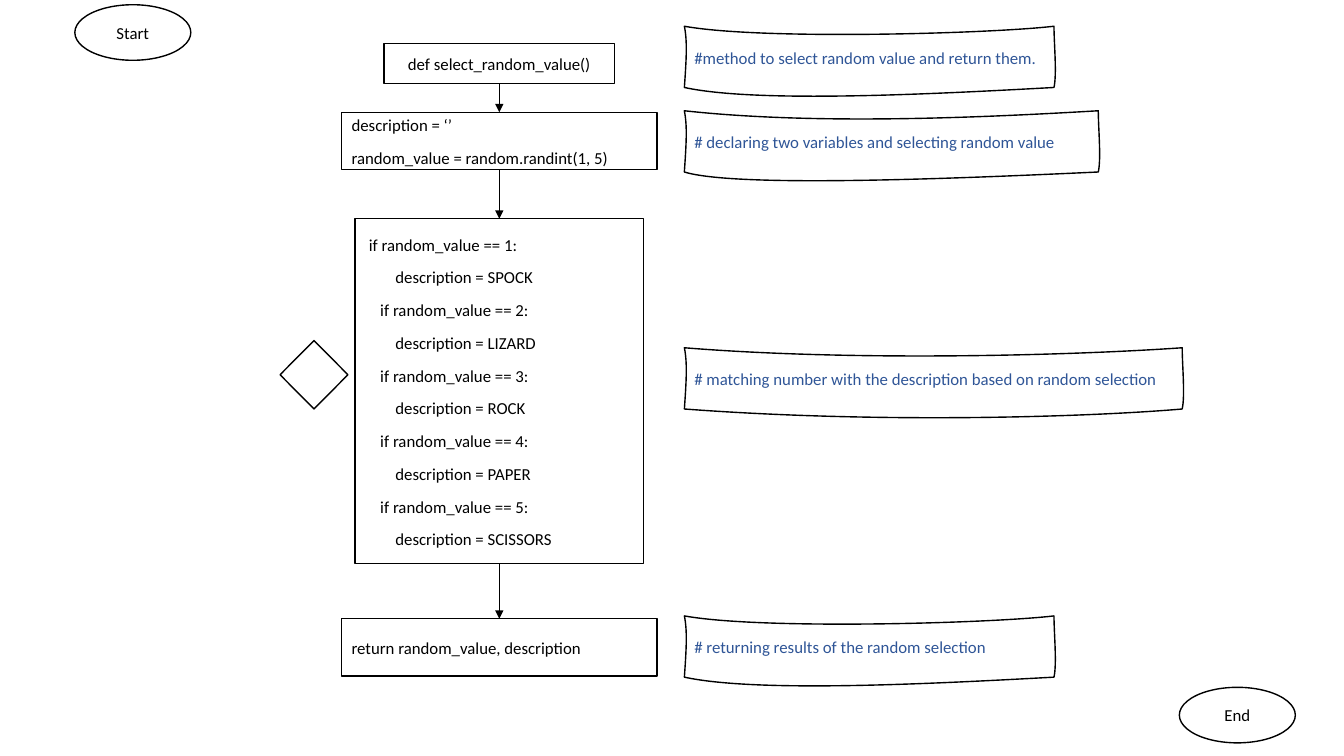
from dataclasses import dataclass

from lxml import etree
from pptx import Presentation
from pptx import util as u
from pptx.dml.color import RGBColor
from pptx.enum import shapes, text
from pptx.oxml.ns import qn

BLACK = RGBColor(0x00, 0x00, 0x00)
WHITE = RGBColor(0xFF, 0xFF, 0xFF)
BLUE = RGBColor(0x2F, 0x55, 0x97)

WIDTH, HEIGHT = u.Inches(13.33), u.Inches(7.5)
SPINE = 37.15  # centre of the flow, percent of the width
NOTE_LEFT = 50.92
NOTE_HEIGHT = 8.1
INDENT_UNIT = 2.71  # points, one character step of code


@dataclass(frozen=True)
class Line:
    words: str
    indent: int = 0


@dataclass(frozen=True)
class Step:
    """A code box on the spine; lengths are percent of the slide."""
    width: float
    top: float
    height: float
    lines: list[Line]
    centred: bool = False


@dataclass(frozen=True)
class Note:
    """A wavy comment; bends are control points as shares of its width."""
    top: float
    width: float
    top_bends: tuple[float, float]
    bottom_bends: tuple[float, float]
    words: str


@dataclass(frozen=True)
class Marker:
    kind: shapes.MSO_SHAPE
    left: float
    top: float
    width: float
    height: float
    words: str = ""


CHOICES = ["SPOCK", "LIZARD", "ROCK", "PAPER", "SCISSORS"]
BRANCHES = [
    line
    for number, choice in enumerate(CHOICES, 1)
    for line in (Line(f"if random_value == {number}:", 1 if number == 1 else 4),
                 Line(f"description = {choice}", 8))
]

STEPS = [
    Step(17.18, 5.73, 5.3, [Line("def select_random_value()")], centred=True),
    Step(23.46, 14.85, 7.58, [Line("description = ‘’"),
                              Line("random_value = random.randint(1, 5)")]),
    Step(21.45, 28.93, 45.6, BRANCHES),
    Step(23.46, 81.85, 7.58, [Line("return random_value, description")]),
]

NOTES = [
    Note(3.47, 27.5, (0.21, 0.83), (0.64, 0.19),
         "#method to select random value and return them."),
    Note(14.65, 30.8, (0.31, 0.7), (0.62, 0.12),
         "# declaring two variables and selecting random value"),
    Note(46, 37.04, (0.35, 0.79), (0.83, 0.41),
         "# matching number with the description based on random selection"),
    Note(81.47, 27.5, (0.21, 0.83), (0.64, 0.19),
         "# returning results of the random selection"),
]

MARKERS = [
    Marker(shapes.MSO_SHAPE.DIAMOND, 20.84, 45.05, 5.05, 9.05),
    Marker(shapes.MSO_SHAPE.OVAL, 5.57, 0.63, 8.63, 7.35, "Start"),
    Marker(shapes.MSO_SHAPE.OVAL, 87.75, 90.92, 8.63, 7.35, "End"),
]


def across(percent: float) -> int:
    return round(WIDTH * percent / 100)


def down(percent: float) -> int:
    return round(HEIGHT * percent / 100)


def outline(shape, fill: RGBColor | None = None) -> None:
    shape.shadow.inherit = False
    shape.line.color.rgb = BLACK
    shape.line.width = u.Pt(1)
    if fill is None:
        shape.fill.background()
    else:
        shape.fill.solid()
        shape.fill.fore_color.rgb = fill


def write(shape, lines: list[Line], color: RGBColor, centred: bool) -> None:
    frame = shape.text_frame
    frame.word_wrap = True
    frame.vertical_anchor = text.MSO_ANCHOR.MIDDLE
    frame.text = "\n".join(line.words for line in lines)
    for line, paragraph in zip(lines, frame.paragraphs):
        paragraph.font.name = "Calibri"
        paragraph.font.size = u.Pt(12)
        paragraph.font.color.rgb = color
        if centred:
            paragraph.alignment = text.PP_ALIGN.CENTER
            continue
        paragraph.alignment = text.PP_ALIGN.LEFT
        paragraph.line_spacing = 1.07
        paragraph.space_after = u.Pt(8)
        if line.indent:
            margin = u.Pt(line.indent * INDENT_UNIT)
            paragraph._p.get_or_add_pPr().set("marL", str(int(margin)))


def draw_step(slide, step: Step):
    box = slide.shapes.add_shape(
        shapes.MSO_SHAPE.RECTANGLE, across(SPINE - step.width / 2),
        down(step.top), across(step.width), down(step.height))
    outline(box)
    write(box, step.lines, BLACK, step.centred)
    return box


def draw_arrow(slide, upper, lower) -> None:
    arrow = slide.shapes.add_connector(shapes.MSO_CONNECTOR.STRAIGHT, 0, 0, 0, 0)
    arrow.begin_connect(upper, 2)
    arrow.end_connect(lower, 0)
    arrow.line.color.rgb = BLACK
    arrow.line.width = u.Pt(0.5)
    etree.SubElement(arrow.line._get_or_add_ln(), qn("a:tailEnd"), type="triangle")
    etree.SubElement(arrow._element.spPr, qn("a:effectLst"))


def draw_note(slide, note: Note) -> None:
    left, top = across(NOTE_LEFT), down(note.top)
    width, height = across(note.width), down(NOTE_HEIGHT)
    right, bottom = left + width, top + height
    builder = slide.shapes.build_freeform(left, top)
    builder.add_line_segments(
        [(right, top), (right, bottom), (left, bottom), (left, top)], close=True)
    flag = builder.convert_to_shape()

    # Bend each side: control points as (share of width, share of height)
    (t1, t2), (b1, b2) = note.top_bends, note.bottom_bends
    sway = 0.03 * u.Inches(1) / width
    bends = [
        ((t1, 0.23), (t2, 0.12)),
        ((1, 0.28), (1 + sway, 0.78)),
        ((b1, 1.12), (b2, 1.25)),
        ((sway * 0.67, 0.52), (sway, 0.25)),
    ]
    for side, controls in zip(list(flag._element.iter(qn("a:lnTo"))), bends):
        side.tag = qn("a:cubicBezTo")
        for position, (x, y) in enumerate(controls):
            control = etree.Element(
                qn("a:pt"), x=str(round(x * width)), y=str(round(y * height)))
            side.insert(position, control)

    outline(flag)
    write(flag, [Line(note.words)], BLUE, centred=False)


def draw_marker(slide, marker: Marker) -> None:
    shape = slide.shapes.add_shape(
        marker.kind, across(marker.left), down(marker.top),
        across(marker.width), down(marker.height))
    outline(shape, WHITE)
    if marker.words:
        write(shape, [Line(marker.words)], BLACK, centred=True)


def main() -> None:
    deck = Presentation()
    deck.slide_width, deck.slide_height = WIDTH, HEIGHT
    slide = deck.slides.add_slide(deck.slide_layouts[6])
    # Flow of code boxes
    boxes = [draw_step(slide, step) for step in STEPS]
    for upper, lower in zip(boxes, boxes[1:]):
        draw_arrow(slide, upper, lower)
    # Comments, decision mark and terminals
    for note in NOTES:
        draw_note(slide, note)
    for marker in MARKERS:
        draw_marker(slide, marker)
    deck.save("out.pptx")


if __name__ == "__main__":
    main()
